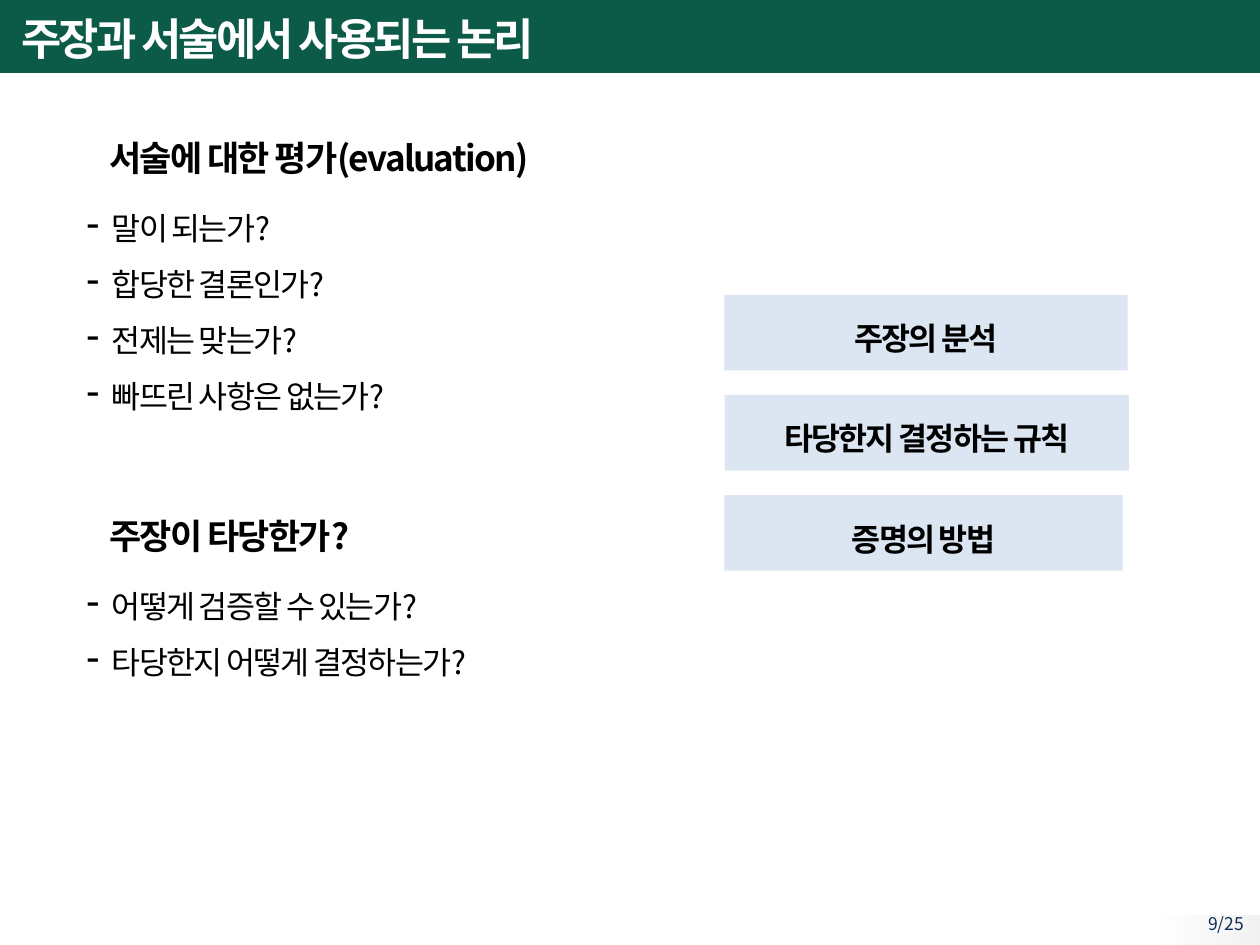
"""Build a slide on the logic used in claims and statements."""
from pptx import Presentation
from pptx.dml.color import RGBColor
from pptx.enum import shapes, text
from pptx.oxml import ns, xmlchemy
from pptx.util import Inches, Pt

FONT = "Noto Sans CJK KR"
GREEN = RGBColor(0x0C, 0x5B, 0x48)
WHITE = RGBColor(0xFF, 0xFF, 0xFF)
BLACK = RGBColor(0, 0, 0)
NAVY = RGBColor(0x0F, 0x2E, 0x53)
PALE = RGBColor(0xDC, 0xE6, 0xF2)
GREY = RGBColor(0xF2, 0xF2, 0xF2)

TITLE = "주장과 서술에서 사용되는 논리"
PAGE = "9/25"
PARTS = [
    (0.98, "서술에 대한 평가(evaluation)",
     ["말이 되는가?", "합당한 결론인가?", "전제는 맞는가?", "빠뜨린 사항은 없는가?"]),
    (3.98, "주장이 타당한가?",
     ["어떻게 검증할 수 있는가?", "타당한지 어떻게 결정하는가?"]),
]
TOPICS = [("주장의 분석", 3.2), ("타당한지 결정하는 규칙", 3.21), ("증명의 방법", 3.16)]


def element(tag, **attrs):
    node = xmlchemy.OxmlElement(tag)
    for key, value in attrs.items():
        node.set(key, value)
    return node


def add_run(para, words, size, color, bold=False, gap=0):
    run = para.add_run()
    run.text = words
    font = run.font
    font.name, font.size, font.bold = FONT, Pt(size), bold
    font.color.rgb = color
    props = run._r.get_or_add_rPr()
    props.find(ns.qn("a:latin")).addnext(element("a:ea", typeface=FONT))
    if gap:
        props.set("spc", str(int(gap * 100)))


def add_box(slide, left, top, width, height, inset=0.05):
    box = slide.shapes.add_textbox(*map(Inches, (left, top, width, height)))
    frame = box.text_frame
    frame.word_wrap = True
    frame.margin_top = frame.margin_bottom = Inches(inset)
    return frame


def add_rect(slide, left, top, width, height):
    rect = slide.shapes.add_shape(
        shapes.MSO_SHAPE.RECTANGLE, *map(Inches, (left, top, width, height)))
    rect.shadow.inherit = False
    rect.line.fill.background()
    return rect


def add_solid(slide, color, *place):
    rect = add_rect(slide, *place)
    rect.fill.solid()
    rect.fill.fore_color.rgb = color
    return rect


def add_fade(slide, *place):
    rect = add_rect(slide, *place)
    rect.fill.gradient()
    rect.fill.gradient_angle = 180
    for stop in rect.fill.gradient_stops:
        stop.color.rgb = GREY
    last = list(rect._element.iter(ns.qn("a:srgbClr")))[-1]
    last.append(element("a:alpha", val="0"))


def add_bullet(para):
    props = para._p.get_or_add_pPr()
    props.set("marL", str(Inches(0.2)))
    props.set("indent", str(-Inches(0.2)))
    color = element("a:buClr")
    color.append(element("a:srgbClr", val=str(BLACK)))
    props.extend([color, element("a:buSzPct", val="120000"),
                  element("a:buChar", char="-")])


def add_part(slide, top, head, items):
    para = add_box(slide, 0.77, top, 8.28, 0.44).paragraphs[0]
    para.line_spacing = Pt(28)
    add_run(para, head, 20, BLACK, True, -1)
    high = 0.44 * len(items)
    frame = add_box(slide, 0.59, top + 0.57, 8.9, high)
    for i, item in enumerate(items):
        para = frame.add_paragraph() if i else frame.paragraphs[0]
        add_bullet(para)
        para.line_spacing = Pt(26)
        if i:
            para.space_before = Pt(6)
        add_run(para, item, 18, BLACK, gap=-1)


def main():
    deck = Presentation()
    deck.slide_width, deck.slide_height = Inches(10), Inches(7.5)
    slide = deck.slides.add_slide(deck.slide_layouts[6])

    add_solid(slide, GREEN, 0, -0.02, 10, 0.6)
    add_fade(slide, 9.2, 7.27, 0.8, 0.24)
    para = add_box(slide, 9.05, 7.22, 0.92, 0.23, 0.03).paragraphs[0]
    para.alignment = text.PP_ALIGN.RIGHT
    add_run(para, PAGE, 10, NAVY)

    frame = add_box(slide, 0.07, 0.04, 8.51, 0.52)
    frame.vertical_anchor = text.MSO_ANCHOR.MIDDLE
    add_run(frame.paragraphs[0], TITLE, 25, WHITE, True, -1.5)

    for part in PARTS:
        add_part(slide, *part)

    for i, (topic, width) in enumerate(TOPICS):
        rect = add_solid(slide, PALE, 5.75, 2.34 + 0.795 * i, width, 0.6)
        frame = rect.text_frame
        frame.vertical_anchor = text.MSO_ANCHOR.MIDDLE
        para = frame.paragraphs[0]
        para.alignment = text.PP_ALIGN.CENTER
        para.line_spacing = Pt(28)
        add_run(para, topic, 18, BLACK, True, -1)

    deck.save("out.pptx")


if __name__ == "__main__":
    main()
